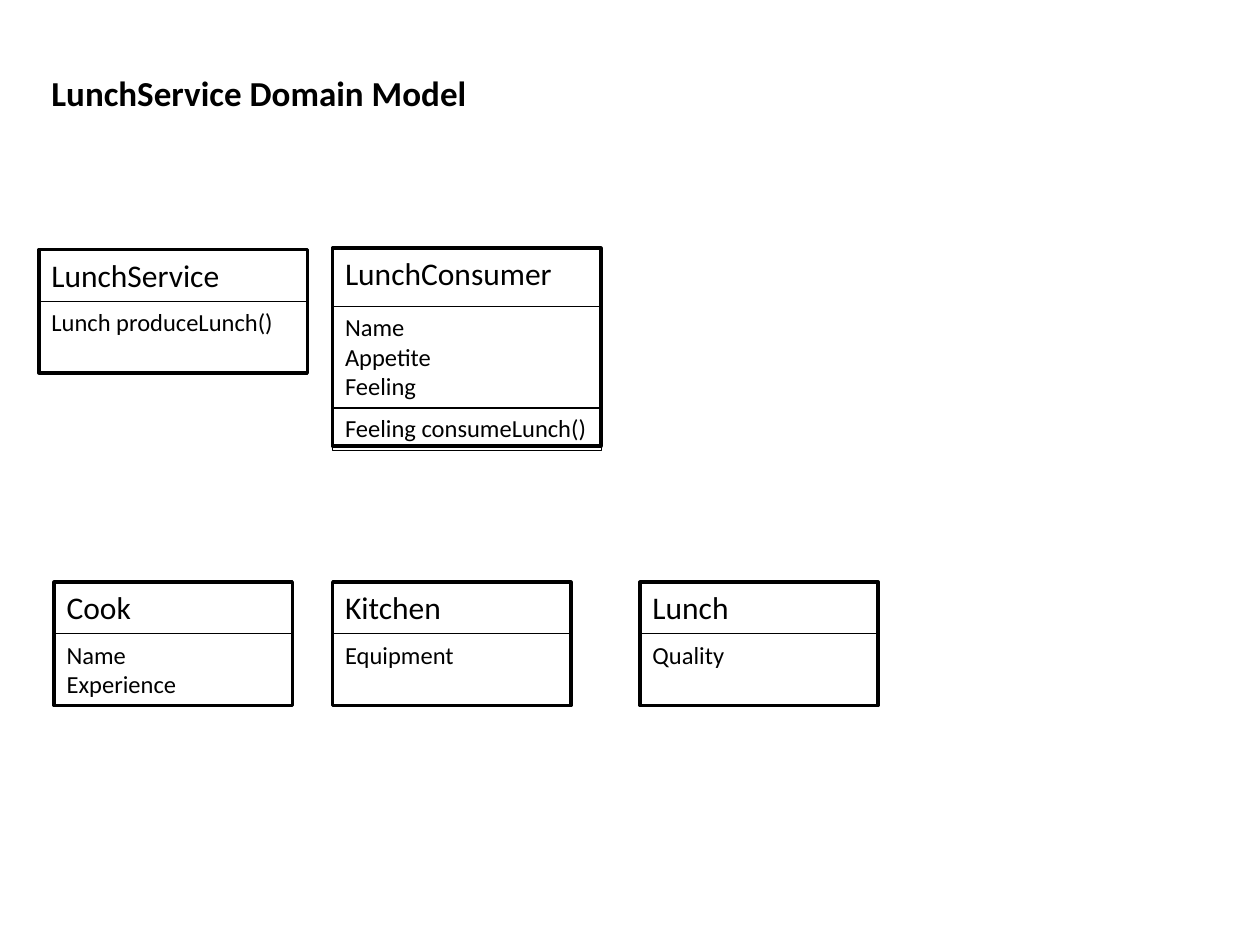
import dataclasses

import pptx
import pptx.dml.color
import pptx.enum.shapes
import pptx.enum.text
import pptx.shapes.autoshape
import pptx.shapes.group
import pptx.slide
import pptx.util

Inches = pptx.util.Inches
FONT = "Calibri"
COLORS = {"ink": "000000", "paper": "FFFFFF"}


@dataclasses.dataclass
class Section:
    top: float
    height: float
    lines: list[str]


@dataclasses.dataclass
class ClassBox:
    name: str
    left: float
    top: float
    width: float
    height: float
    sections: list[Section]


def color(key: str) -> pptx.dml.color.RGBColor:
    return pptx.dml.color.RGBColor.from_string(COLORS[key])


def write_lines(shape: pptx.shapes.autoshape.Shape, lines: list[str],
                size: float, bold: bool = False, wrap: bool = True) -> None:
    frame = shape.text_frame
    frame.word_wrap = wrap
    frame.vertical_anchor = pptx.enum.text.MSO_ANCHOR.TOP
    for index, line in enumerate(lines):
        paragraph = frame.add_paragraph() if index else frame.paragraphs[0]
        paragraph.alignment = pptx.enum.text.PP_ALIGN.LEFT
        run = paragraph.add_run()
        run.text = line
        run.font.name = FONT
        run.font.size = pptx.util.Pt(size)
        run.font.bold = bold
        run.font.color.rgb = color("ink")


def add_box(group: pptx.shapes.group.GroupShape, left: float, top: float,
            width: float, height: float, lines: list[str], size: float,
            line_width: float, filled: bool) -> None:
    shape = group.shapes.add_shape(
        pptx.enum.shapes.MSO_SHAPE.RECTANGLE,
        Inches(left), Inches(top), Inches(width), Inches(height))
    shape.shadow.inherit = False
    if filled:
        shape.fill.solid()
        shape.fill.fore_color.rgb = color("paper")
    else:
        shape.fill.background()
    shape.line.color.rgb = color("ink")
    shape.line.width = pptx.util.Pt(line_width)
    write_lines(shape, lines, size)


def add_class(slide: pptx.slide.Slide, box: ClassBox) -> None:
    group = slide.shapes.add_group_shape()
    add_box(group, box.left, box.top, box.width, box.height,
            [box.name], 18, 2, True)
    for section in box.sections:
        add_box(group, box.left, section.top, box.width, section.height,
                section.lines, 14, 0.25, False)


def small_class(name: str, left: float, top: float, width: float,
                lines: list[str]) -> ClassBox:
    """A class with one section below its name."""
    return ClassBox(name, left, top, width, 0.98,
                    [Section(top + 0.41, 0.57, lines)])


presentation = pptx.Presentation()
presentation.slide_width = Inches(10)
presentation.slide_height = Inches(7.5)
slide = presentation.slides.add_slide(presentation.slide_layouts[6])

# Class boxes
SERVICE_TOP, ENTITY_TOP = 1.98, 4.62
SERVICE_WIDTH, ENTITY_WIDTH = 2.13, 1.89
CLASSES = [
    small_class("Cook", 0.43, ENTITY_TOP, ENTITY_WIDTH, ["Name", "Experience"]),
    small_class("Kitchen", 2.64, ENTITY_TOP, ENTITY_WIDTH, ["Equipment"]),
    small_class("Lunch", 5.08, ENTITY_TOP, ENTITY_WIDTH, ["Quality"]),
    small_class("LunchService", 0.31, SERVICE_TOP, SERVICE_WIDTH,
                ["Lunch produceLunch()"]),
    ClassBox("LunchConsumer", 2.64, 1.97, SERVICE_WIDTH, 1.57, [
        Section(2.43, 0.81, ["Name", "Appetite", "Feeling"]),
        Section(3.23, 0.34, ["Feeling consumeLunch()"]),
    ]),
]
for class_box in CLASSES:
    add_class(slide, class_box)

# Title
title = slide.shapes.add_textbox(Inches(0.31), Inches(0.52),
                                 Inches(3.53), Inches(0.44))
write_lines(title, ["LunchService Domain Model"], 20, bold=True, wrap=False)
title.text_frame.auto_size = pptx.enum.text.MSO_AUTO_SIZE.SHAPE_TO_FIT_TEXT

presentation.save("out.pptx")
